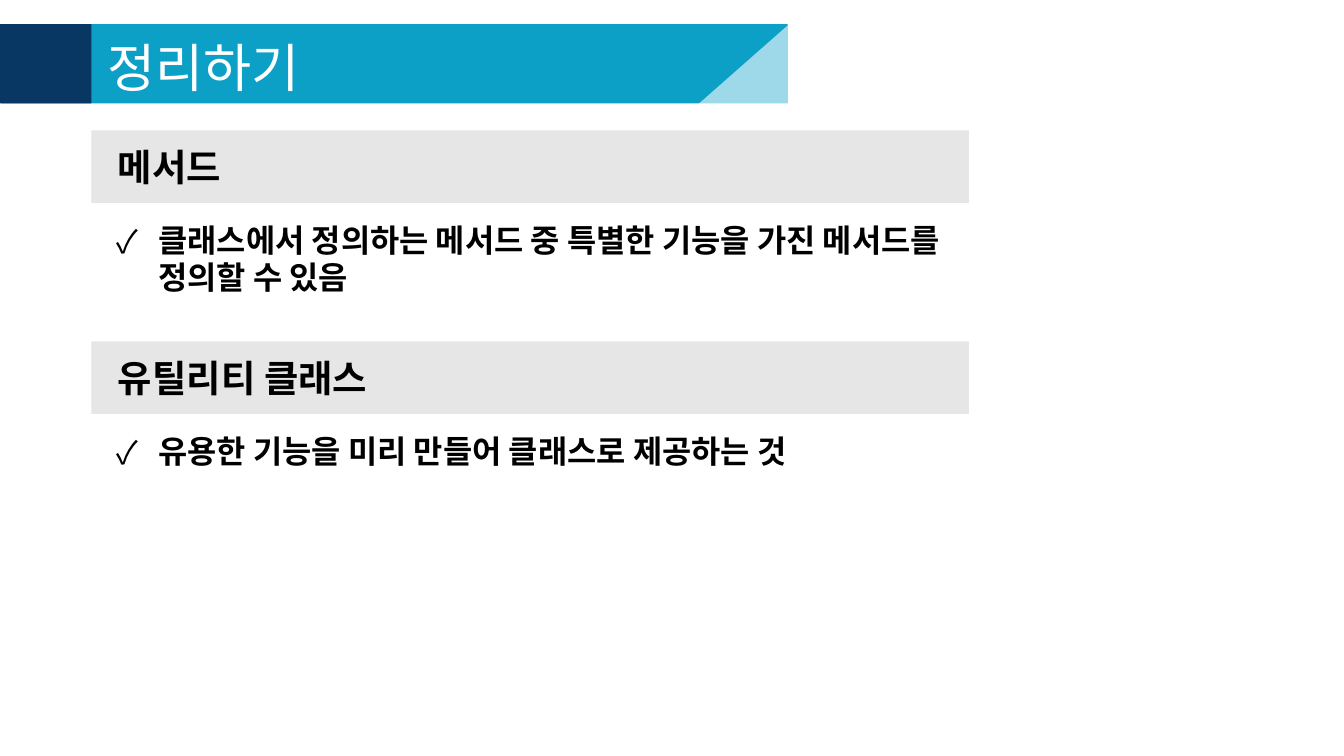
from dataclasses import dataclass
from typing import Optional

import pptx
import pptx.dml.color
import pptx.enum.shapes
import pptx.enum.text
import pptx.util
from lxml import etree
from pptx.oxml import ns

Inches = pptx.util.Inches
Kind = pptx.enum.shapes.MSO_SHAPE


@dataclass(frozen=True)
class Theme:
    font: str = "Noto Sans CJK KR"
    navy: str = "083763"
    blue: str = "0CA0C7"
    grey: str = "E6E6E6"
    white: str = "FFFFFF"
    black: str = "000000"
    title: int = 28
    head: int = 20
    body: int = 17


@dataclass(frozen=True)
class Box:
    left: float
    top: float
    width: float
    height: float

    def place(self) -> tuple:
        return tuple(map(Inches, (self.left, self.top, self.width, self.height)))


@dataclass(frozen=True)
class Topic:
    head: str
    body: str
    lines: int


THEME = Theme()
TOPICS = (
    Topic("메서드", "클래스에서 정의하는 메서드 중 특별한 기능을 가진 메서드를 정의할 수 있음", 2),
    Topic("유틸리티 클래스", "유용한 기능을 미리 만들어 클래스로 제공하는 것", 1),
)
START, STEP = 0.97, 1.57


def paint(slide, box: Box, color: str, kind=Kind.RECTANGLE, alpha: Optional[int] = None):
    """Draw a plain filled shape; alpha is its opacity in percent."""
    shape = slide.shapes.add_shape(kind, *box.place())
    shape.shadow.inherit = False
    shape.fill.solid()
    shape.fill.fore_color.rgb = pptx.dml.color.RGBColor.from_string(color)
    shape.line.fill.background()
    if alpha is not None:
        tint = shape.element.spPr.find(".//" + ns.qn("a:srgbClr"))
        etree.SubElement(tint, ns.qn("a:alpha"), val=str(alpha * 1000))
    return shape


def write(shape, text: str, *, size: int, color: str = THEME.black, bold: bool = False,
          wrap: bool = True, pad: float = 0.1, margin: float = 0, indent: float = 0,
          bullet: str = "", pitch: Optional[int] = None) -> None:
    """Fill a shape with one left-aligned paragraph, centred vertically."""
    frame = shape.text_frame
    frame.word_wrap = wrap
    frame.vertical_anchor = pptx.enum.text.MSO_ANCHOR.MIDDLE
    frame.margin_left = frame.margin_right = Inches(pad)
    frame.margin_top = frame.margin_bottom = Inches(pad / 2)
    para = frame.paragraphs[0]
    para.alignment = pptx.enum.text.PP_ALIGN.LEFT
    if pitch:
        para.line_spacing = pptx.util.Pt(pitch)
    props = para._p.get_or_add_pPr()
    props.set("marL", str(Inches(margin)))
    props.set("indent", str(Inches(indent)))
    if bullet:
        etree.SubElement(props, ns.qn("a:buFont"), typeface=THEME.font)
        etree.SubElement(props, ns.qn("a:buChar"), char=bullet)
    run = para.add_run()
    run.text = text
    font = run.font
    font.size, font.bold, font.name = pptx.util.Pt(size), bold, THEME.font
    font.color.rgb = pptx.dml.color.RGBColor.from_string(color)
    etree.SubElement(font._element, ns.qn("a:ea"), typeface=THEME.font)


def banner(slide, text: str) -> None:
    paint(slide, Box(0.01, 0.18, 5.85, 0.59), THEME.blue)
    label = slide.shapes.add_textbox(*Box(0.66, 0.19, 2.19, 0.61).place())
    write(label, text, size=THEME.title, color=THEME.white, pad=0.14)
    corner = paint(slide, Box(5.19, 0.19, 0.67, 0.59), THEME.white,
                   Kind.RIGHT_TRIANGLE, alpha=60)
    corner.element.spPr.find(ns.qn("a:xfrm")).set("flipH", "1")
    paint(slide, Box(0, 0.18, 0.68, 0.59), THEME.navy)


def section(slide, topic: Topic, top: float) -> None:
    bar = paint(slide, Box(0.68, top, 6.53, 0.54), THEME.grey)
    write(bar, topic.head, size=THEME.head, bold=True, wrap=False, indent=0.1)
    box = Box(0.77, top + 0.62, 6.42, 0.11 + 0.28 * topic.lines)
    note = slide.shapes.add_textbox(*box.place())
    write(note, topic.body, size=THEME.body, bold=True, margin=0.31,
          indent=-0.31, bullet="✓", pitch=20)


def main() -> None:
    # Widescreen page, 16 by 9
    deck = pptx.Presentation()
    deck.slide_width = Inches(10)
    deck.slide_height = Inches(10 * 9 / 16)
    slide = deck.slides.add_slide(deck.slide_layouts[6])

    # Title banner
    banner(slide, "정리하기")

    # Summary topics
    for row, topic in enumerate(TOPICS):
        section(slide, topic, START + row * STEP)

    deck.save("out.pptx")


if __name__ == "__main__":
    main()
